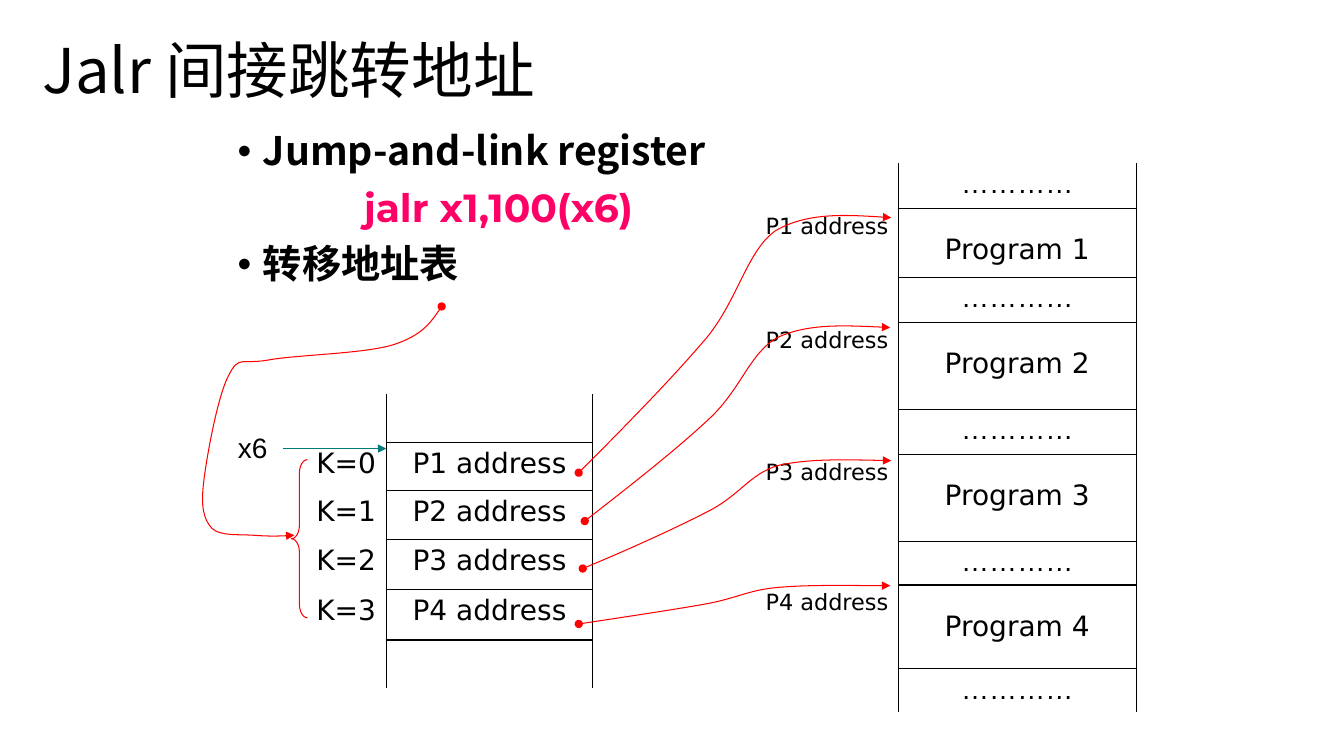
import pptx
import pptx.util
import pptx.dml.color
import pptx.enum.shapes
import pptx.enum.text
import pptx.oxml
import pptx.oxml.ns

PX = 9144
INK = {"text": "000000", "code": "FF0066", "flow": "FF0000", "base": "007A77"}
CJK, SANS, ARIAL, MONT = "Noto Sans CJK SC", "DejaVu Sans", "Arial", "Montserrat"
BARE = "{2D5ABB26-0587-4C30-8999-92F81FD0307C}"
DOTS = "…………"
CURVE = [(15, 18), (30, 37), (41, 53), (51, 68), (54, 87),
         (63, 95), (73, 102), (86, 101), (100, 100)]
ALIGN = pptx.enum.text.PP_ALIGN
SHAPE = pptx.enum.shapes.MSO_SHAPE


def px(*nums):
    return [pptx.util.Emu(num * PX) for num in nums]


def color(key):
    return pptx.dml.color.RGBColor.from_string(INK[key])


def node(home, tag, **attrs):
    item = pptx.oxml.ns.qn("a:" + tag)
    child = home.makeelement(item, attrs)
    home.append(child)
    return child


def add_run(para, text, size, font, key="text", bold=False):
    run = para.add_run()
    run.text = text
    run.font.size = pptx.util.Pt(size)
    run.font.name = font
    run.font.bold = bold
    run.font.color.rgb = color(key)
    node(run.font._element, "ea", typeface=font)


def add_box(slide, box, wrap=True):
    frame = slide.shapes.add_textbox(*px(*box)).text_frame
    frame.word_wrap = wrap
    return frame


def add_title(slide, box):
    frame = add_box(slide, box)
    frame.vertical_anchor = pptx.enum.text.MSO_ANCHOR.MIDDLE
    para = frame.paragraphs[0]
    para.line_spacing = 0.9
    add_run(para, "Jalr 间接跳转地址", 44, CJK)


def add_body(slide, box):
    frame = add_box(slide, box)
    lines = [("Jump-and-link register", CJK, "text", True),
             ("jalr x1,100(x6)", MONT, "code", False),
             ("转移地址表", CJK, "text", True)]
    for num, (text, font, key, dot) in enumerate(lines):
        para = frame.add_paragraph() if num else frame.paragraphs[0]
        para.line_spacing = 0.9
        if num:
            para.space_before = pptx.util.Pt(10)
        props = para._p.get_or_add_pPr()
        left, hang = (25, -25) if dot else (125, 0)
        props.set("marL", str(left * PX))
        props.set("indent", str(hang * PX))
        if dot:
            node(props, "buFont", typeface=ARIAL)
            node(props, "buChar", char="•")
        else:
            node(props, "buNone")
        add_run(para, text, 28, font, key, True)


def set_edges(cell, sides):
    props = cell._tc.get_or_add_tcPr()
    for side in "LRTB":
        line = node(props, "ln" + side, w="12700")
        if side in sides:
            fill = node(line, "solidFill")
            node(fill, "srgbClr", val=INK["text"])
        else:
            node(line, "noFill")
    cell.fill.background()


def add_grid(slide, box, cols, rows, cells):
    left, top = box
    frame = slide.shapes.add_table(
        len(rows), 2, *px(left, top, sum(cols), sum(rows)))
    grid = frame.table
    grid.first_row = grid.horz_banding = False
    grid._tbl.tblPr.find(pptx.oxml.ns.qn("a:tableStyleId")).text = BARE
    for col, width in zip(grid.columns, px(*cols)):
        col.width = width
    for num, (high, pair) in enumerate(zip(px(*rows), cells)):
        grid.rows[num].height = high
        above = "T" if num else ""
        below = "B" if num < len(rows) - 1 else ""
        for spot, (item, align) in enumerate(zip(pair, (ALIGN.RIGHT, ALIGN.CENTER))):
            cell = grid.cell(num, spot)
            set_edges(cell, "LR" + above + below if spot else "R")
            if item:
                text, size, font, pad = item
                cell.margin_top = px(pad)[0]
                para = cell.text_frame.paragraphs[0]
                para.alignment = align
                add_run(para, text, size, font)


def add_jumps(slide, box):
    cells = [(None, None)]
    for num in range(4):
        cells.append(((f"K={num}", 20, SANS, 5),
                      (f"P{num + 1} address", 20, SANS, 5)))
    cells.append((None, None))
    add_grid(slide, box, (86, 205), (48, 48, 48, 50, 50, 48), cells)


def add_store(slide, box):
    gap = (None, (DOTS, 20, ARIAL, 5))
    cells = [gap]
    for num in range(1, 5):
        cells.append(((f"P{num} address", 16, SANS, 5),
                      (f"Program {num}", 20, SANS, 25)))
        cells.append(gap)
    rows = (45, 68, 45, 86, 45, 86, 43, 83, 43)
    add_grid(slide, box, (157, 236), rows, cells)


def set_line(shape, key):
    shape.line.color.rgb = color(key)
    shape.line.width = pptx.util.Pt(0.75)
    return shape.line._get_or_add_ln()


def add_curve(slide, start, points):
    left, top = start
    form = slide.shapes.build_freeform(left, top, scale=PX)
    form.add_line_segments([(left + x, top + y) for x, y in points], close=False)
    shape = form.convert_to_shape()
    shape.shadow.inherit = False
    shape.fill.background()
    line = set_line(shape, "flow")
    node(line, "headEnd", type="oval")
    node(line, "tailEnd", type="triangle")
    track = next(shape._element.iter(pptx.oxml.ns.qn("a:path")))
    steps = track.findall(pptx.oxml.ns.qn("a:lnTo"))
    for num in range(0, len(steps), 3):
        bend = node(track, "cubicBezTo")
        for step in steps[num:num + 3]:
            bend.append(step[0])
            track.remove(step)


def add_links(slide):
    for left, top, wide, rise in [(574, 469, 310, 253), (580, 517, 303, 192),
                                  (578, 564, 306, 107), (574, 619, 309, 38)]:
        points = [(round(wide * x / 100), -round(rise * y / 100)) for x, y in CURVE]
        add_curve(slide, (left, top), points)


def add_base(slide, box):
    left, top = box
    arrow = slide.shapes.add_connector(
        pptx.enum.shapes.MSO_CONNECTOR.STRAIGHT,
        *px(left + 55, top + 23, left + 157, top + 23))
    node(set_line(arrow, "base"), "tailEnd", type="triangle")
    node(arrow._element.spPr, "effectLst")
    frame = add_box(slide, (left, top, 51, 44), False)
    add_run(frame.paragraphs[0], "x6", 20, ARIAL)


def add_brace(slide, box):
    brace = slide.shapes.add_shape(SHAPE.LEFT_BRACE, *px(*box))
    brace.shadow.inherit = False
    brace.fill.background()
    brace.adjustments[0] = 0.84
    set_line(brace, "flow")
    add_curve(slide, (438, 304), [
        (-10, 15), (-20, 29), (-48, 38), (-77, 47), (-144, 48), (-171, 53),
        (-198, 58), (-201, 48), (-211, 68), (-222, 88), (-233, 149), (-236, 174),
        (-239, 199), (-236, 211), (-228, 220), (-220, 228), (-201, 226),
        (-187, 227), (-173, 228), (-160, 228), (-146, 227)])


def main():
    deck = pptx.Presentation()
    deck.slide_width, deck.slide_height = px(1333, 750)
    slide = deck.slides.add_slide(deck.slide_layouts[6])
    add_title(slide, (32, 10, 543, 125))
    add_body(slide, (226, 126, 903, 459))
    add_jumps(slide, (297, 391))
    add_base(slide, (226, 422))
    add_store(slide, (734, 162))
    add_links(slide)
    add_brace(slide, (289, 456, 16, 157))
    deck.save("out.pptx")


if __name__ == "__main__":
    main()
